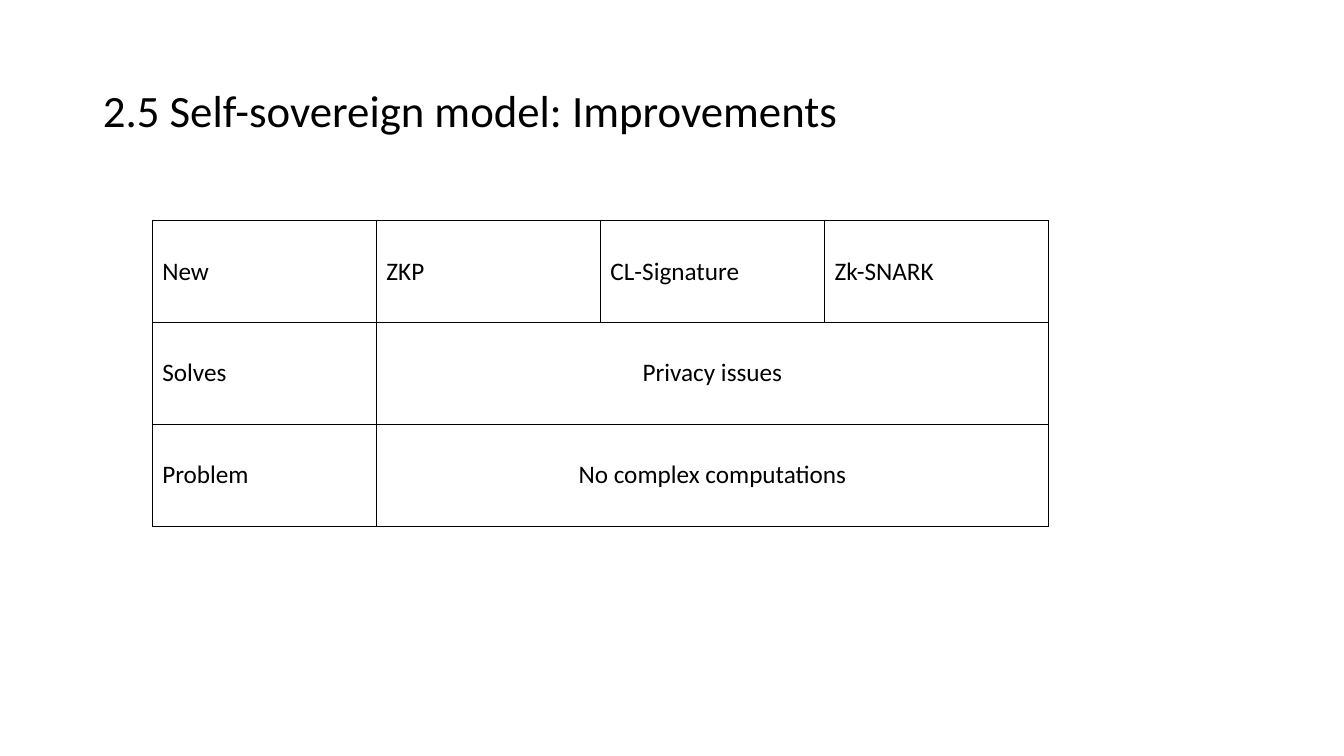
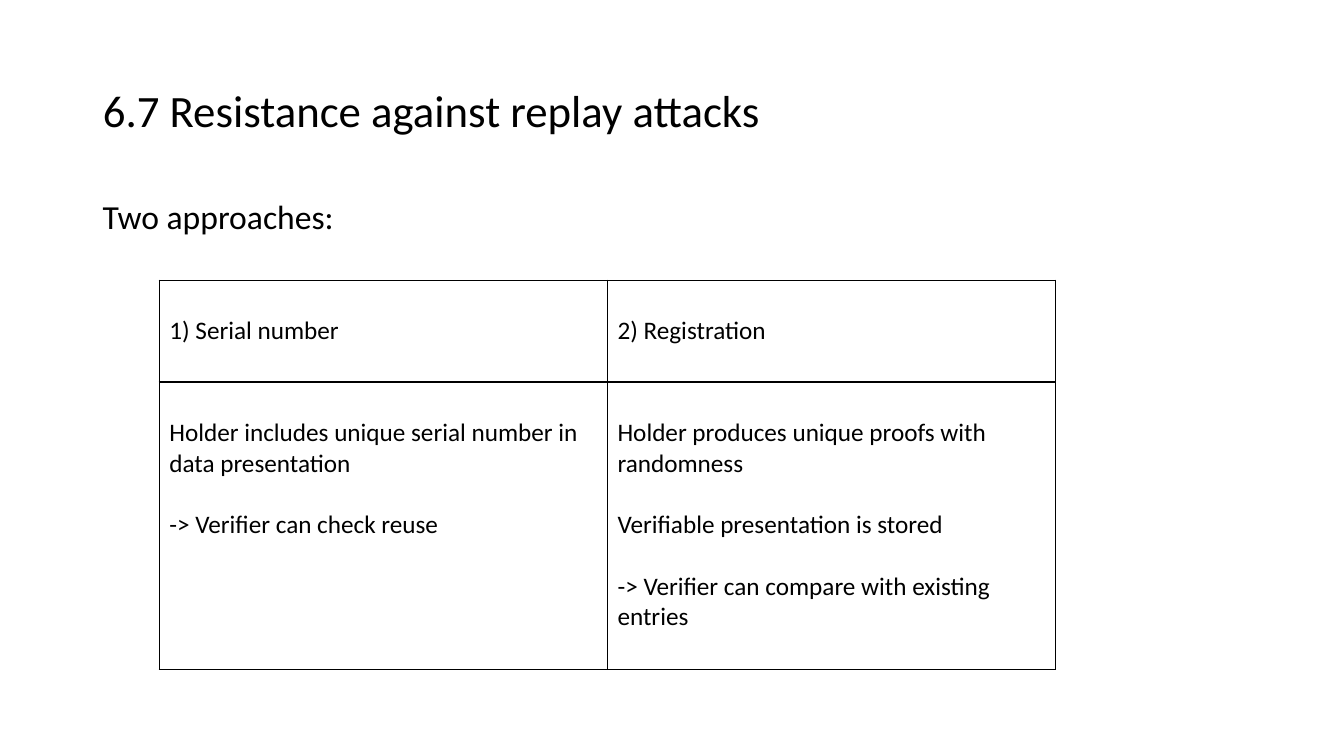
from pptx import Presentation
from pptx.dml.color import RGBColor as RGB
from pptx.enum.text import MSO_ANCHOR as Anchor, MSO_AUTO_SIZE as Fit, PP_ALIGN as Align
from pptx.oxml import parse_xml
from pptx.oxml.ns import nsdecls
from pptx.util import Inches, Pt

HUES = {"ink": "000000", "page": "FFFFFF"}
FONT = "Calibri"
LEFT, WIDE = 0.92, 11.5
HEAD = 1.01  # height of a one-line table row


def write(frame, text, size=18, align=Align.LEFT, space=None, before=0, gap=0):
    """Fill a frame, one paragraph per line of text."""
    frame.word_wrap = True
    for i, line in enumerate(text.split("\n")):
        para = frame.add_paragraph() if i else frame.paragraphs[0]
        para.alignment = align
        para.line_spacing = space
        para.space_before = Pt(gap if i else before)
        run = para.add_run()
        run.text = line
        run.font.name = FONT
        run.font.size = Pt(size)
        run.font.color.rgb = RGB.from_string(HUES["ink"])


class Deck:
    def __init__(self):
        self.prs = Presentation()
        self.prs.slide_width = Inches(13.33)
        self.prs.slide_height = Inches(7.5)
        self.page = None

    def slide(self, title):
        self.page = self.prs.slides.add_slide(self.prs.slide_layouts[5])
        fill = self.page.background.fill
        fill.solid()
        fill.fore_color.rgb = RGB.from_string(HUES["page"])
        head = self.page.shapes.title
        head.left, head.top = Inches(LEFT), Inches(0.4)
        head.width, head.height = Inches(WIDE), Inches(1.45)
        frame = head.text_frame
        frame.auto_size = Fit.NONE
        frame.vertical_anchor = Anchor.MIDDLE
        write(frame, title, size=32, space=0.9)

    def body(self, text):
        box = self.page.shapes.add_textbox(
            Inches(LEFT), Inches(1.85), Inches(WIDE), Inches(4.99))
        write(box.text_frame, text, size=24, space=1.1, before=10)

    def border(self, cell):
        props = cell._tc.get_or_add_tcPr()
        for i, side in enumerate("LRTB"):
            props.insert(i, parse_xml(
                f'<a:ln{side} {nsdecls("a")} w="12700"><a:solidFill>'
                f'<a:srgbClr val="{HUES["ink"]}"/></a:solidFill></a:ln{side}>'))

    def table(self, left, top, highs, rows):
        """Draw equal columns; a short row spreads its last cell to the edge."""
        count, wide = len(rows[0]), 8.89
        grid = self.page.shapes.add_table(
            len(rows), count, Inches(left), Inches(top),
            Inches(wide), Inches(sum(highs))).table
        grid.first_row = grid.horz_banding = False
        for col in grid.columns:
            col.width = Inches(wide / count)
        for r, (high, texts) in enumerate(zip(highs, rows)):
            grid.rows[r].height = Inches(high)
            last = len(texts) - 1
            spread = len(texts) < count
            if spread:
                grid.cell(r, last).merge(grid.cell(r, count - 1))
            for c in range(count):
                cell = grid.cell(r, c)
                cell.fill.background()
                self.border(cell)
                cell.margin_top = Inches(0.35)
                if c <= last:
                    mid = spread and c == last
                    write(cell.text_frame, texts[c], gap=22,
                          align=Align.CENTER if mid else Align.LEFT)


deck = Deck()

# Improvements
deck.slide("2.5 Self-sovereign\u00a0model: Improvements")
deck.table(1.51, 2.19, [HEAD] * 3, [
    ["New", "ZKP", "CL-Signature", "Zk-SNARK"],
    ["Solves", "Privacy issues"],
    ["Problem", "No complex computations"],
])

# Replay attacks
deck.slide("6.7 Resistance against replay\u00a0attacks")
deck.body("Two approaches:")
deck.table(1.58, 2.78, [HEAD, 2.85], [
    ["1) Serial number", "2) Registration"],
    ["Holder includes unique serial number in data presentation\n"
     "-> Verifier can check reuse",
     "Holder produces unique proofs with randomness\n"
     "Verifiable presentation is stored\n"
     "-> Verifier can compare with existing entries"],
])

deck.prs.save("out.pptx")
